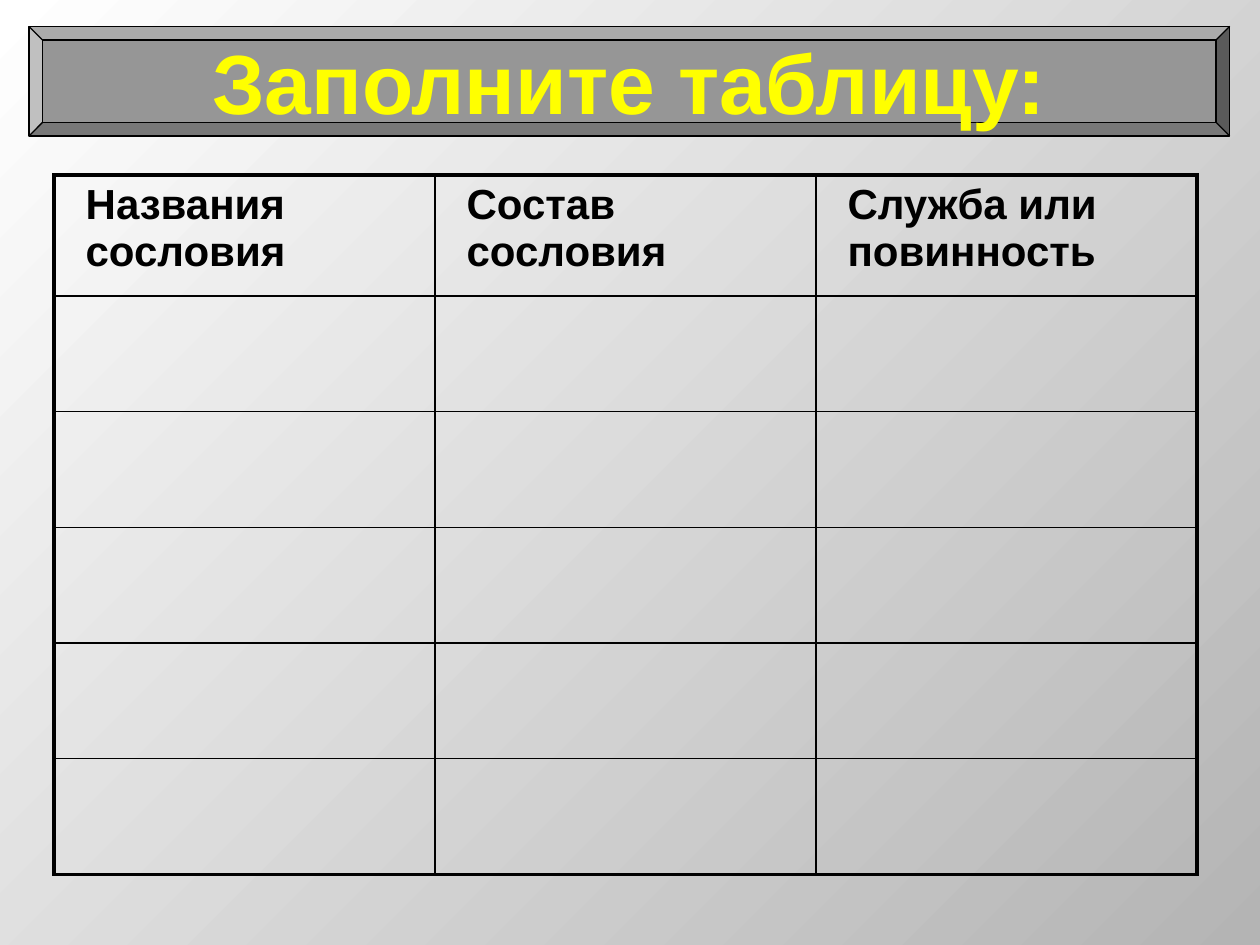
from typing import NamedTuple

from lxml.etree import SubElement
from pptx import Presentation
from pptx.dml.color import RGBColor
from pptx.enum.shapes import MSO_SHAPE
from pptx.enum.text import MSO_ANCHOR as Anchor, MSO_AUTO_SIZE as Auto, PP_ALIGN as Align
from pptx.oxml.ns import qn
from pptx.util import Inches, Pt


class Box(NamedTuple):
    left: float
    top: float
    width: float
    height: float

    def emu(self) -> list:
        return [Inches(value) for value in self]


BANNER = Box(0.23, 0.21, 9.53, 0.87)
GRID = Box(0.43, 1.39, 9.07, 5.55)
HEADS = ["Названия сословия", "Состав сословия", "Служба или повинность"]
ROWS = 6
HEAD_HEIGHT = 0.96
THIN, THICK = 1, 2.25
BLACK = "000000"


def paint(target, color: str) -> None:
    """Set a solid colour on a fill."""
    target.solid()
    target.fore_color.rgb = RGBColor.from_string(color)


def write(frame, text: str, *, size: float, color: str = BLACK, align=Align.LEFT,
          before: float = 0, indent: float = 0) -> None:
    """Put one bold Arial paragraph into a text frame."""
    para = frame.paragraphs[0]
    para.alignment = align
    para.space_before = Pt(before)
    props = para._p.get_or_add_pPr()
    props.set("marL", str(Inches(indent)))
    props.set("indent", "0")
    run = para.add_run()
    run.text = text
    font = run.font
    font.name, font.size, font.bold = "Arial", Pt(size), True
    paint(font.fill, color)


def border(cell, **widths: float) -> None:
    """Draw black cell edges; keywords are L, R, T and B, in that order."""
    props = cell._tc.get_or_add_tcPr()
    for side, width in widths.items():
        edge = SubElement(props, qn(f"a:ln{side}"), w=str(Pt(width)))
        fill = SubElement(edge, qn("a:solidFill"))
        SubElement(fill, qn("a:srgbClr"), val=BLACK)


def add_banner(slide, text: str) -> None:
    plate = slide.shapes.add_shape(MSO_SHAPE.BEVEL, *BANNER.emu())
    plate.adjustments[0] = 0.125
    plate.shadow.inherit = False
    paint(plate.fill, "969696")
    paint(plate.line.fill, BLACK)
    plate.line.width = Pt(0.75)

    title = slide.shapes.title
    title.left, title.top, title.width, title.height = BANNER.emu()
    frame = title.text_frame
    frame.auto_size = Auto.NONE
    frame.word_wrap = False
    frame.vertical_anchor = Anchor.MIDDLE
    write(frame, text, size=48, color="FFFF00", align=Align.CENTER)
    slide.shapes._spTree.append(title._element)  # bring the title above its plate


def add_grid(slide) -> None:
    table = slide.shapes.add_table(ROWS, len(HEADS), *GRID.emu()).table
    table.first_row = table.horz_banding = False
    for col in table.columns:
        col.width = Inches(GRID.width / len(HEADS))
    for i, row in enumerate(table.rows):
        body = (GRID.height - HEAD_HEIGHT) / (ROWS - 1)
        row.height = Inches(body if i else HEAD_HEIGHT)
        for j, cell in enumerate(row.cells):
            border(cell,
                   L=THIN if j else THICK,
                   R=THICK if j == len(HEADS) - 1 else THIN,
                   T=THIN if i else THICK,
                   B=THICK if i == ROWS - 1 else THIN)
            cell.fill.background()
    for cell, head in zip(table.rows[0].cells, HEADS):
        write(cell.text_frame, head, size=24, before=5, indent=0.15)


def main() -> None:
    deck = Presentation()
    deck.slide_width, deck.slide_height = Inches(10), Inches(7.5)
    slide = deck.slides.add_slide(deck.slide_layouts[5])

    back = slide.background.fill
    back.gradient()
    back.gradient_angle = 315
    for stop, color in zip(back.gradient_stops, ["FFFFFF", "B4B4B4"]):
        stop.color.rgb = RGBColor.from_string(color)

    add_grid(slide)
    add_banner(slide, "Заполните таблицу:")
    deck.save("out.pptx")


if __name__ == "__main__":
    main()
